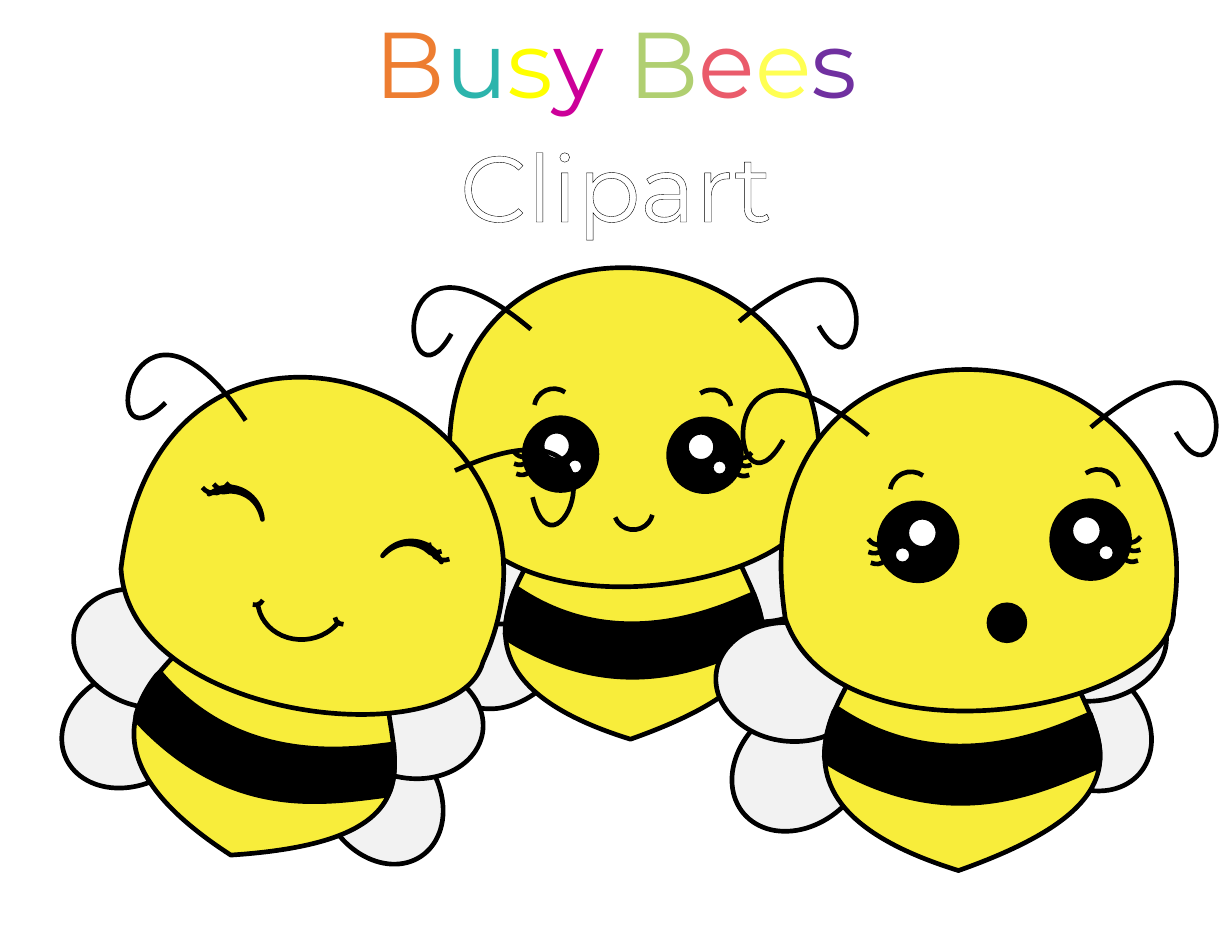
from lxml import etree
from pptx import Presentation
from pptx.dml.color import RGBColor
from pptx.enum import shapes, text
from pptx.oxml.ns import qn
from pptx.util import Inches, Pt

THEME = {
    "font": "Montserrat", "title_size": 60, "line_width": 3, "panel_line": 1,
    "white": "FFFFFF", "black": "000000", "yellow": "F8ED3B", "wing": "F2F2F2",
    "orange": "ED7D31", "teal": "2CB4AC", "bright": "FFFF00", "magenta": "CC0099",
    "green": "B0CF71", "coral": "EA5B6B", "lemon": "FFFF53", "purple": "7030A0",
}
SLIDE_WIDTH, SLIDE_HEIGHT, TITLE_HEIGHT = 11, 8.5, 1.1

TITLES = [
    {"outline": 1, "letters": [
        ("B", "orange"), ("u", "teal"), ("s", "bright"), ("y ", "magenta"),
        ("B", "green"), ("e", "coral"), ("e", "lemon"), ("s", "purple")]},
    {"outline": 2.25, "letters": [("Clipart", "white")]},
]

SIZES = {
    "wing": (1.25, 0.99), "body": (2.3, 2.18), "head": (3.31, 2.85),
    "antenna": (1.05, 0.61), "stripe": (2.3, 0.81), "eye": (0.65, 0.65),
    "glint": (0.26, 0.26), "spark": (0.15, 0.15), "lash": (0.11, 0.02),
    "brow": (0.35, 0.35), "wink": (0.43, 0.32), "smile": (0.35, 0.35),
    "grin": (0.77, 0.69), "dimple": (0.15, 0.13), "mouth": (0.3, 0.3),
}
FILLS = {
    "wing": "wing", "body": "yellow", "head": "yellow", "stripe": "black",
    "eye": "black", "glint": "white", "spark": "white", "wink": "black",
    "mouth": "black",
}
ARC_STARTS = {"smile": 129.4, "grin": 129.4, "dimple": 164.65, "brow": 146.74}
OUTLINES = {
    "body": [
        (0.42, 0.1), (2.02, 0), (1.74, 0.72, 3.3, 1.41, 1.12, 2.18),
        (-0.98, 1.53, 0.55, 0.4, 0.42, 0.1)],
    "head": [
        (0.04, 2.08), (-0.42, -0.87, 3.66, -0.49, 3.28, 2.01),
        (3.29, 2.86, 0.47, 3.34, 0.04, 2.08)],
    "antenna": [(1.05, 0.37), (-0.32, -0.79, -0.1, 1.2, 0.34, 0.41)],
    "stripe": [
        (0.1, 0), (0.12, 0.01), (0.69, 0.39, 1.36, 0.42, 2.1, 0.1),
        (2.22, 0.05), (2.24, 0.11), (2.28, 0.22, 2.31, 0.33, 2.3, 0.44),
        (2.29, 0.5), (2.27, 0.5), (1.79, 0.7, 1.08, 1.05, 0.11, 0.51),
        (0.01, 0.45), (0, 0.41), (0, 0.28, 0.03, 0.15, 0.08, 0.03)],
    "wink": [
        (0.12, 0), (0.09, 0, 0.05, 0.02, 0.02, 0.03), (0, 0.04),
        (0.02, 0.03, 0.04, 0.03, 0.07, 0.04), (0.09, 0.03, 0.11, 0.03, 0.13, 0.04),
        (0.18, 0.04), (0.33, 0.06, 0.42, 0.17, 0.43, 0.32),
        (0.44, 0.17, 0.34, 0.03, 0.18, 0), (0.16, 0, 0.14, 0, 0.12, 0)],
    "lash": [(0.11, 0), (0.08, 0.02, 0.05, 0.03, 0, 0.01)],
}

WING_TILTS = {"lower": 40.8, "upper": -6.4}
RIGHT_EYE_PARTS = [
    ("eye", 0, 0, 0), ("glint", 0.16, 0.12, 0), ("spark", 0.38, 0.36, 0),
    ("lash", 0.61, 0.49, 0), ("lash", 0.63, 0.4, 0), ("lash", 0.64, 0.32, -31.2),
    ("brow", 0.21, -0.26, 54.8),
]
SHINE = ("glint", "spark")

BEES = {
    "middle": {
        "scale": 1, "tilt": 0,
        "right wings": {"lower": (6.13, 5.26), "upper": (6.2, 4.56)},
        "left wings": {"lower": (3.88, 5.28), "upper": (3.8, 4.58)},
        "body": (4.51, 4.42), "head": (4.01, 2.39), "stripe": (4.51, 5.25),
        "left antenna": (3.69, 2.57), "right antenna": (6.6, 2.5),
        "left eye": (4.68, 3.73), "right eye": (5.97, 3.74), "mirror shine": False,
        "mouth parts": [("smile", 5.48, 4.38, 158.3)],
    },
    "left": {
        "scale": 1.03, "tilt": 15.7,
        "right wings": {"lower": (2.76, 6.6), "upper": (3.03, 5.93)},
        "left wings": {"lower": (0.53, 5.99), "upper": (0.64, 5.28)},
        "body": (1.21, 5.44), "head": (1.16, 3.41), "stripe": (1.17, 6.28),
        "left antenna": (1.15, 3.23), "right antenna": (4.06, 3.97),
        "winks": [
            {"at": (3.47, 4.81), "turn": 39.1, "right": True, "lash turn": 2.5,
             "lashes": [(3.74, 4.85), (3.83, 4.91), (3.9, 4.98)]},
            {"at": (1.88, 4.34), "turn": 352.2, "right": False, "lash turn": 28.9,
             "lashes": [(2.01, 4.33), (1.9, 4.34), (1.8, 4.37)]},
        ],
        "mouth parts": [("grin", 2.3, 5, 176.2), ("dimple", 2.99, 5.44, 176.2),
                        ("dimple", 2.21, 5.26, 113.6)],
    },
    "right": {
        "scale": 1.07, "tilt": 0,
        "right wings": {"lower": (9, 5.94), "upper": (9.08, 5.2)},
        "left wings": {"lower": (6.48, 6.3), "upper": (6.39, 5.56)},
        "body": (7.36, 5.44), "head": (6.97, 3.3), "stripe": (7.36, 6.32),
        "left antenna": (6.63, 3.49), "right antenna": (9.74, 3.42),
        "left eye": (7.85, 4.49), "right eye": (9.39, 4.47), "mirror shine": True,
        "mouth parts": [("mouth", 8.83, 5.4, 0)],
    },
}


def paint(shape, fill, line, width):
    shape.shadow.inherit = False
    if fill:
        shape.fill.solid()
        shape.fill.fore_color.rgb = RGBColor.from_string(THEME[fill])
    else:
        shape.fill.background()
    if line:
        shape.line.color.rgb = RGBColor.from_string(THEME[line])
        shape.line.width = Pt(width)
    else:
        shape.line.fill.background()


def add_outline(group, box, scale, steps, closed, mirror):
    left, top, width, height = map(Inches, box)
    builder = group.shapes.build_freeform(left, top)
    builder.add_line_segments([(left + width, top), (left + width, top + height),
                               (left, top + height)], close=closed)
    shape = builder.convert_to_shape()
    geometry = shape.element.find(".//" + qn("a:path"))
    for child in list(geometry):
        geometry.remove(child)
    for index, step in enumerate(steps):
        tag = "a:moveTo" if index == 0 else "a:lnTo" if len(step) == 2 else "a:cubicBezTo"
        command = etree.SubElement(geometry, qn(tag))
        for x, y in zip(step[::2], step[1::2]):
            across = Inches(x * scale)
            point = etree.SubElement(command, qn("a:pt"))
            point.set("x", str(width - across if mirror else across))
            point.set("y", str(Inches(y * scale)))
    if closed:
        etree.SubElement(geometry, qn("a:close"))
    return shape


def add_part(group, scale, name, left, top, turn=0, mirror=False):
    width, height = SIZES[name]
    box = (left, top, width * scale, height * scale)
    if name in OUTLINES:
        shape = add_outline(group, box, scale, OUTLINES[name], name in FILLS, mirror)
    else:
        kind = shapes.MSO_SHAPE.ARC if name in ARC_STARTS else shapes.MSO_SHAPE.OVAL
        shape = group.shapes.add_shape(kind, *map(Inches, box))
        if mirror:
            shape.element.spPr.find(qn("a:xfrm")).set("flipH", "1")
    if name in ARC_STARTS:
        shape.adjustments[0] = ARC_STARTS[name]
        shape.adjustments[1] = 0
    shape.rotation = turn % 360
    paint(shape, FILLS.get(name), "black", THEME["line_width"])


def add_eye(group, scale, left, top, right, mirror_shine):
    for name, x, y, turn in RIGHT_EYE_PARTS:
        if not right:
            turn = -turn
            if mirror_shine or name not in SHINE:
                x = SIZES["eye"][0] - x - SIZES[name][0]
        add_part(group, scale, name, left + x * scale, top + y * scale, turn, right)


def add_wink(group, scale, wink):
    add_part(group, scale, "wink", *wink["at"], wink["turn"], wink["right"])
    for lash in wink["lashes"]:
        add_part(group, scale, "lash", *lash, wink["lash turn"], wink["right"])


def add_bee(slide, bee):
    group = slide.shapes.add_group_shape()
    scale, tilt = bee["scale"], bee["tilt"]
    sides = {"right": True, "left": False}
    for side, right in sides.items():
        for level, position in bee[f"{side} wings"].items():
            turn = WING_TILTS[level] if right else -WING_TILTS[level]
            add_part(group, scale, "wing", *position, tilt + turn, right)
    for name in ("body", "head", "stripe"):
        add_part(group, scale, name, *bee[name], tilt)
    for side, right in sides.items():
        add_part(group, scale, "antenna", *bee[f"{side} antenna"], tilt, right)
        if f"{side} eye" in bee:
            add_eye(group, scale, *bee[f"{side} eye"], right, bee["mirror shine"])
    for wink in bee.get("winks", []):
        add_wink(group, scale, wink)
    for mouth_part in bee["mouth parts"]:
        add_part(group, scale, *mouth_part)


def add_title(slide, top, title):
    box = slide.shapes.add_textbox(0, Inches(top), Inches(SLIDE_WIDTH), Inches(TITLE_HEIGHT))
    box.text_frame.word_wrap = True
    box.text_frame.auto_size = text.MSO_AUTO_SIZE.SHAPE_TO_FIT_TEXT
    paragraph = box.text_frame.paragraphs[0]
    paragraph.alignment = text.PP_ALIGN.CENTER
    paragraph.font.name = THEME["font"]
    paragraph.font.size = Pt(THEME["title_size"])
    for letter, color in title["letters"]:
        run = paragraph.add_run()
        run.text = letter
        run.font.color.rgb = RGBColor.from_string(THEME[color])
        outline = etree.Element(qn("a:ln"), w=str(Pt(title["outline"])))
        solid = etree.SubElement(outline, qn("a:solidFill"))
        etree.SubElement(solid, qn("a:srgbClr"), val=THEME["black"])
        run.font._element.insert(0, outline)


presentation = Presentation()
presentation.slide_width, presentation.slide_height = Inches(SLIDE_WIDTH), Inches(SLIDE_HEIGHT)
slide = presentation.slides.add_slide(presentation.slide_layouts[6])
for height, line in [(SLIDE_HEIGHT, "white"), (TITLE_HEIGHT, None)]:
    panel = slide.shapes.add_shape(
        shapes.MSO_SHAPE.RECTANGLE, 0, 0, Inches(SLIDE_WIDTH), Inches(height))
    paint(panel, "white", line, THEME["panel_line"])
for row, title in enumerate(TITLES):
    add_title(slide, row * TITLE_HEIGHT, title)
for bee in BEES.values():
    add_bee(slide, bee)
presentation.save("out.pptx")
